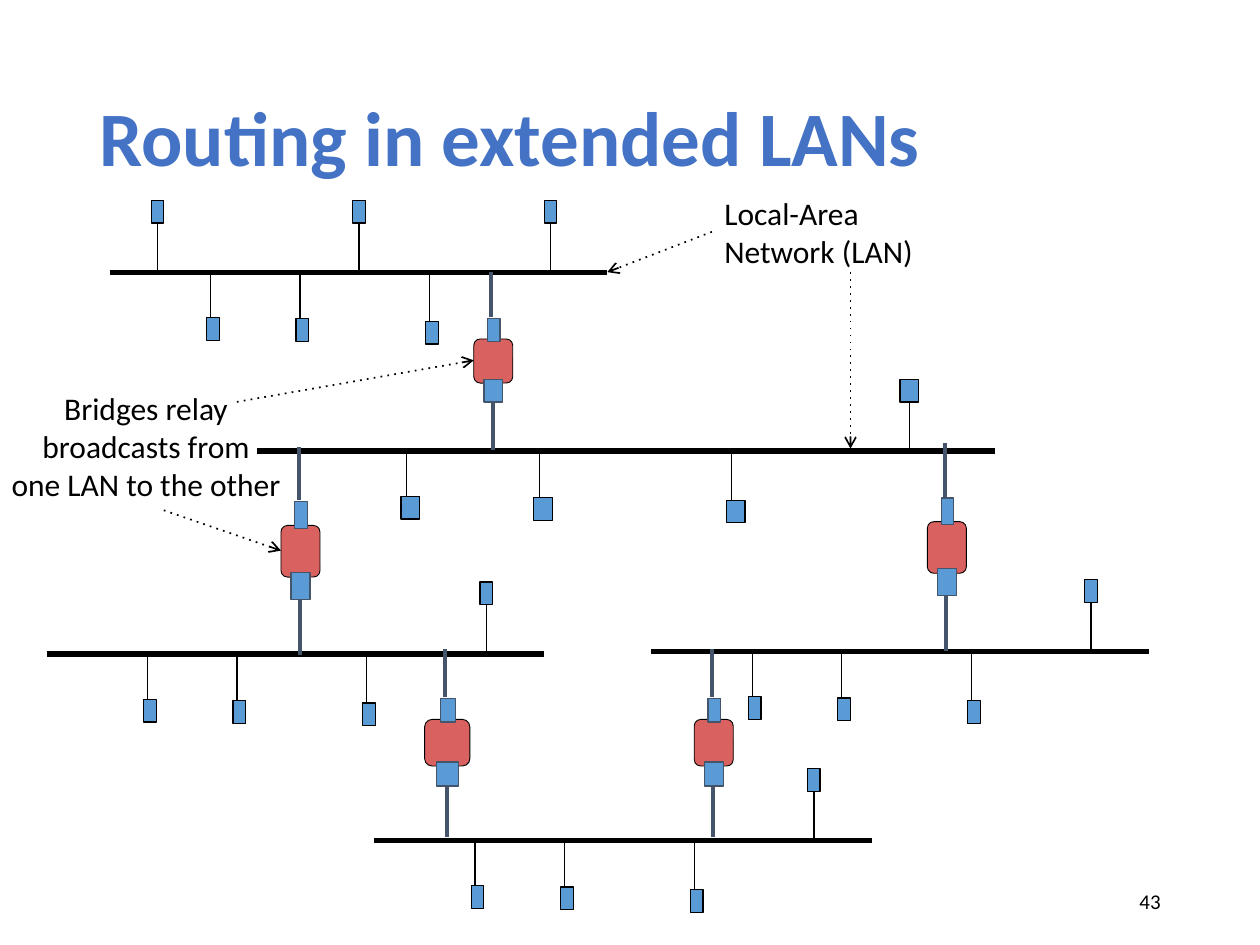
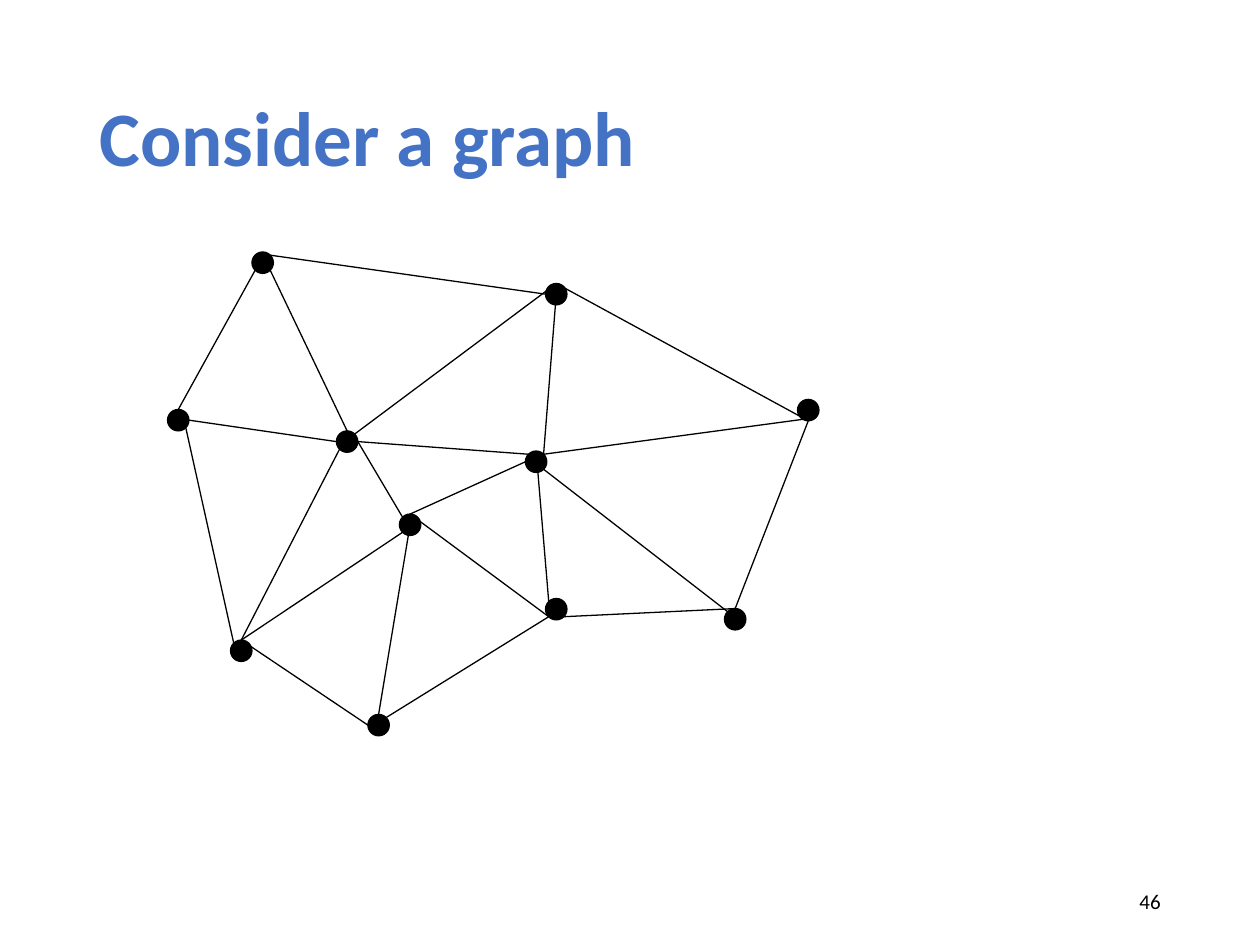
import dataclasses

import lxml.etree
import pptx
import pptx.dml.color
import pptx.enum.shapes
import pptx.enum.text
import pptx.oxml.ns
import pptx.util

Inches = pptx.util.Inches
SHAPE = pptx.enum.shapes.MSO_SHAPE
ALIGN = pptx.enum.text.PP_ALIGN
ANCHOR = pptx.enum.text.MSO_ANCHOR


@dataclasses.dataclass(frozen=True)
class Theme:
    font: str = "Calibri"
    title_color: str = "4472C4"
    ink: str = "000000"
    port: str = "5B9BD5"
    port_line: str = "44546A"
    bridge: str = "D9615F"
    title_size: float = 44
    label_size: float = 18
    number_size: float = 12
    thin: float = 0.75
    bridge_outline: float = 0.5
    pointer: float = 1
    bridge_link: float = 2.25
    bus: float = 3


THEME = Theme()
LAN_WIDTH = 3.95
HOSTS_BELOW = [(0.8, 0), (1.51, 0.01), (2.54, 0.03)]
BRIDGE_WIDTH, BRIDGE_HEIGHT = 0.31, 0.35

LANS = [
    (0.87, 2.16, 3.95, [0.38, 1.98, 3.5]),
    (2.04, 3.58, 5.86, [3.49]),
    (0.37, 5.19, 3.95, [3.49]),
    (5.17, 5.17, 3.95, [3.49]),
    (2.97, 6.67, 3.95, [3.49]),
]
BRIDGES = [
    (3.76, 2.69, 0.31, 0.35),
    (2.23, 4.17, 0.31, 0.41),
    (7.36, 4.14, 0.31, 0.41),
    (3.37, 5.71, 0.36, 0.37),
    (5.51, 5.71, 0.31, 0.37),
]
POINTERS = [
    ((5.65, 1.84), (4.82, 2.16)),
    ((6.75, 2.16), (6.75, 3.56)),
    ((1.3, 4.05), (2.23, 4.37)),
    ((1.88, 3.19), (3.76, 2.86)),
]

NODE_SIZE = 0.17
NODES = {
    "a": (2, 2), "b": (1.33, 3.25), "c": (4.33, 2.25), "d": (4.33, 4.75),
    "e": (2.92, 5.67), "f": (2.67, 3.42), "g": (6.33, 3.17), "h": (3.17, 4.08),
    "i": (1.83, 5.08), "j": (4.17, 3.58), "k": (5.75, 4.83),
}
SITES = {
    "center": (0, 0), "N": (0, -1), "S": (0, 1), "W": (-1, 0), "E": (1, 0),
    "NW": (-0.7, -0.7), "NE": (0.7, -0.7), "SW": (-0.7, 0.7), "SE": (0.7, 0.7),
}
EDGES = [
    ("a", "SE", "f", "N"), ("a", "SW", "b", "N"), ("b", "SE", "i", "NW"),
    ("f", "E", "h", "NW"), ("j", "SE", "k", "NW"), ("c", "center", "j", "NE"),
    ("c", "N", "g", "S"), ("g", "S", "k", "N"), ("i", "N", "e", "W"),
    ("h", "N", "d", "SW"), ("k", "N", "d", "SE"), ("j", "N", "d", "NW"),
    ("h", "center", "e", "N"), ("f", "E", "j", "NW"), ("b", "E", "f", "W"),
    ("i", "N", "h", "SW"), ("e", "NE", "d", "SW"), ("i", "N", "f", "SW"),
    ("h", "N", "j", "W"), ("j", "NE", "g", "SE"), ("a", "NE", "c", "W"),
    ("f", "NE", "c", "N"),
]


def rgb(color):
    return pptx.dml.color.RGBColor.from_string(color)


def add_block(shapes, kind, left, top, width, height, fill, line, weight=THEME.thin):
    block = shapes.add_shape(kind, Inches(left), Inches(top), Inches(width), Inches(height))
    block.shadow.inherit = False
    block.fill.solid()
    block.fill.fore_color.rgb = rgb(fill)
    block.line.color.rgb = rgb(line)
    block.line.width = pptx.util.Pt(weight)
    return block


def add_line(shapes, start, end, weight=THEME.thin, color=THEME.ink):
    line = shapes.add_connector(
        pptx.enum.shapes.MSO_CONNECTOR.STRAIGHT,
        Inches(start[0]), Inches(start[1]), Inches(end[0]), Inches(end[1]))
    line.line.color.rgb = rgb(color)
    line.line.width = pptx.util.Pt(weight)
    properties = line._element.spPr
    lxml.etree.SubElement(properties, pptx.oxml.ns.qn("a:effectLst"))
    return line


def add_pointer(shapes, start, end):
    pointer = add_line(shapes, start, end, THEME.pointer)
    outline = pointer.line._get_or_add_ln()
    lxml.etree.SubElement(outline, pptx.oxml.ns.qn("a:prstDash"), val="dot")
    lxml.etree.SubElement(outline, pptx.oxml.ns.qn("a:tailEnd"), type="arrow")


def add_text(page, text, left, top, width, height, size, color=THEME.ink, bold=False,
             align=ALIGN.LEFT, anchor=ANCHOR.TOP, wrap=True, spacing=1.0):
    box = page.shapes.add_textbox(Inches(left), Inches(top), Inches(width), Inches(height))
    frame = box.text_frame
    frame.word_wrap = wrap
    frame.vertical_anchor = anchor
    if not wrap:
        frame.auto_size = pptx.enum.text.MSO_AUTO_SIZE.SHAPE_TO_FIT_TEXT
    para = frame.paragraphs[0]
    para.text = text
    para.alignment = align
    para.line_spacing = spacing
    for span in para.runs:
        span.font.name = THEME.font
        span.font.size = pptx.util.Pt(size)
        span.font.bold = bold
        span.font.color.rgb = rgb(color)


def add_page(deck, title, number):
    page = deck.slides.add_slide(deck.slide_layouts[6])
    add_text(page, title, 0.69, 0.4, 8.62, 1.45, THEME.title_size, THEME.title_color,
             bold=True, anchor=ANCHOR.MIDDLE, spacing=0.9)
    add_text(page, number, 7.06, 6.95, 2.25, 0.4, THEME.number_size,
             align=ALIGN.RIGHT, anchor=ANCHOR.MIDDLE)
    return page


def add_host(shapes, left, top, scale):
    add_block(shapes, SHAPE.RECTANGLE, left, top, 0.1 * scale, 0.18, THEME.port, THEME.ink)


def add_lan(page, left, y, width, hosts_above):
    shapes = page.shapes.add_group_shape().shapes
    scale = width / LAN_WIDTH
    add_line(shapes, (left, y), (left + width, y), THEME.bus)
    for offset in hosts_above:
        x = left + offset * scale
        add_line(shapes, (x, y - 0.53), (x, y))
        add_host(shapes, x - 0.05 * scale, y - 0.57, scale)
    for offset, drop in HOSTS_BELOW:
        x = left + offset * scale
        add_host(shapes, x - 0.03 * scale, y + 0.36 + drop, scale)
        add_line(shapes, (x, y - 0.01 + drop), (x, y + 0.36 + drop))


def add_bridge(page, left, top, width, height):
    shapes = page.shapes.add_group_shape().shapes
    across, down = width / BRIDGE_WIDTH, height / BRIDGE_HEIGHT

    def place(x, y):
        return left + x * across, top + y * down

    def add_port(x, y, port_width):
        add_block(shapes, SHAPE.RECTANGLE, *place(x, y), port_width * across, 0.18 * down,
                  THEME.port, THEME.port_line)

    def add_link(x, start, end):
        add_line(shapes, place(x, start), place(x, end), THEME.bridge_link, THEME.port_line)

    add_block(shapes, SHAPE.ROUNDED_RECTANGLE, left, top, width, height,
              THEME.bridge, THEME.ink, THEME.bridge_outline)
    add_port(0.11, -0.16, 0.1)
    add_link(0.14, -0.17, -0.53)
    add_link(0.15, 0.36, 0.88)
    add_port(0.08, 0.32, 0.15)


def node_site(node, site):
    radius = NODE_SIZE / 2
    return tuple(start + radius * (1 + shift) for start, shift in zip(NODES[node], SITES[site]))


def add_graph(page):
    shapes = page.shapes.add_group_shape().shapes
    for left, top in NODES.values():
        add_block(shapes, SHAPE.OVAL, left, top, NODE_SIZE, NODE_SIZE, THEME.ink, THEME.ink)
    for first, first_site, second, second_site in EDGES:
        add_line(shapes, node_site(first, first_site), node_site(second, second_site))


def main():
    deck = pptx.Presentation()
    deck.slide_width, deck.slide_height = Inches(10), Inches(7.5)

    page = add_page(deck, "Routing in extended LANs", "43")
    for lan in LANS:
        add_lan(page, *lan)
    for bridge in BRIDGES:
        add_bridge(page, *bridge)
    add_text(page, "Local-Area\nNetwork (LAN)", 5.65, 1.49, 1.72, 0.71,
             THEME.label_size, wrap=False)
    add_text(page, "Bridges relay\nbroadcasts from\none LAN to the other", -0.02, 3.04, 2.36, 1.01,
             THEME.label_size, align=ALIGN.CENTER, wrap=False)
    for start, end in POINTERS:
        add_pointer(page.shapes, start, end)

    add_graph(add_page(deck, "Consider a graph", "46"))
    deck.save("out.pptx")


if __name__ == "__main__":
    main()
